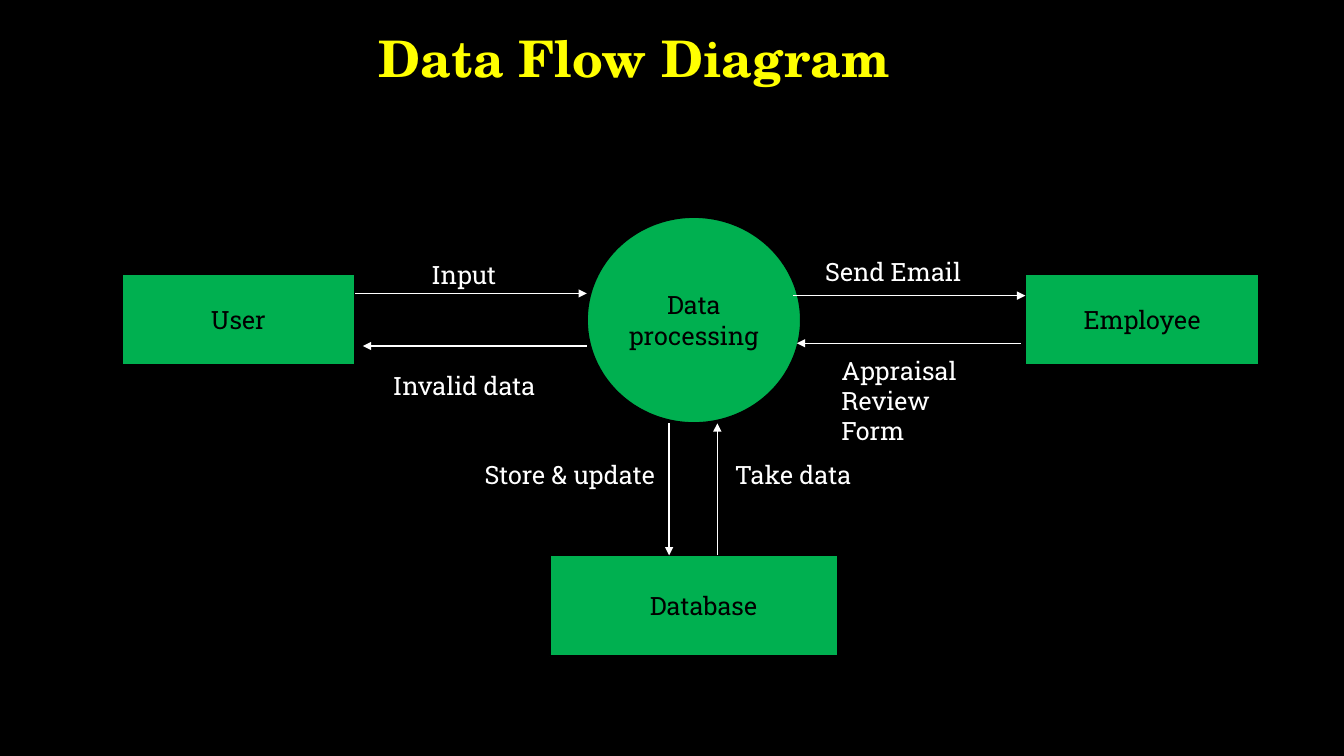
from lxml import etree
from pptx import Presentation
from pptx.dml.color import RGBColor
from pptx.enum.shapes import MSO_CONNECTOR, MSO_SHAPE
from pptx.enum.text import MSO_ANCHOR, PP_ALIGN
from pptx.oxml.ns import qn
from pptx.util import Pt

RECTANGLE, OVAL = MSO_SHAPE.RECTANGLE, MSO_SHAPE.OVAL
STRAIGHT = MSO_CONNECTOR.STRAIGHT
TOP, MIDDLE = MSO_ANCHOR.TOP, MSO_ANCHOR.MIDDLE
LEFT, CENTER = PP_ALIGN.LEFT, PP_ALIGN.CENTER
COLORS = {"black": "000000", "green": "00B050", "white": "FFFFFF", "yellow": "FFFF00"}


def color(name):
    return RGBColor.from_string(COLORS[name])


def write(shape, text, color_name, alignment, anchor, font="Roboto Slab", size=18, bold=False):
    frame = shape.text_frame
    frame.word_wrap = True
    frame.vertical_anchor = anchor
    frame.margin_left = frame.margin_right = Pt(7.2)
    frame.margin_top = frame.margin_bottom = Pt(3.6)
    paragraph = frame.paragraphs[0]
    paragraph.alignment = alignment
    paragraph.line_spacing = 1.0
    run = paragraph.add_run()
    run.text = text
    run.font.name = font
    run.font.size = Pt(size)
    run.font.bold = bold
    run.font.color.rgb = color(color_name)


presentation = Presentation()
presentation.slide_width, presentation.slide_height = Pt(960), Pt(540)
slide = presentation.slides.add_slide(presentation.slide_layouts[5])
slide.background.fill.solid()
slide.background.fill.fore_color.rgb = color("black")

# Title
title = slide.shapes.title
title.left, title.top, title.width, title.height = Pt(263.5), Pt(15.8), Pt(480), Pt(51)
write(title, "Data Flow Diagram", "yellow", LEFT, TOP, "TeX Gyre Schola", 36, True)

# Entities, process and data store
nodes = [
    ("User", RECTANGLE, 86.8, 196, 166.8, 64.6),
    ("Data processing", OVAL, 419.2, 154.9, 153, 147.4),
    ("Employee", RECTANGLE, 732.4, 196, 166.8, 64.6),
    ("Database", RECTANGLE, 392.6, 396.7, 206, 72),
]
for name, kind, left, top, width, height in nodes:
    node = slide.shapes.add_shape(kind, Pt(left), Pt(top), Pt(width), Pt(height))
    node.shadow.inherit = False
    node.fill.solid()
    node.fill.fore_color.rgb = color("green")
    node.line.color.rgb = color("black")
    node.line.width = Pt(1.5)
    write(node, name, "black", CENTER, MIDDLE)
    if name == "Database":
        node.text_frame.margin_left = Pt(21)

# Data flows: start x, start y, end x, end y
flows = [
    (253.6, 209.6, 419.2, 209.6),
    (419.2, 247.2, 259.2, 247.2),
    (566.6, 211.2, 732.4, 211.2),
    (729, 245.2, 569.2, 245.2),
    (478, 302.4, 478, 396.7),
    (512.4, 396.7, 512.4, 302.4),
]
for flow in flows:
    arrow = slide.shapes.add_connector(STRAIGHT, *[Pt(value) for value in flow])
    arrow.line.color.rgb = color("white")
    arrow.line.width = Pt(1)
    etree.SubElement(arrow.line._get_or_add_ln(), qn("a:tailEnd"), type="triangle")
    etree.SubElement(arrow._element.spPr, qn("a:effectLst"))

# Flow labels
labels = [
    ("Input", 301, 181.6, 139, 29),
    ("Invalid data", 273.6, 260.8, 124, 29),
    ("Send Email", 582.4, 179.8, 139, 29),
    ("Appraisal Review Form", 594, 250, 124, 51),
    ("Store & update", 339.1, 324.8, 140, 29),
    ("Take data", 517.8, 324.8, 99.4, 29),
]
for text, left, top, width, height in labels:
    label = slide.shapes.add_textbox(Pt(left), Pt(top), Pt(width), Pt(height))
    write(label, text, "white", LEFT, TOP)

presentation.save("out.pptx")
